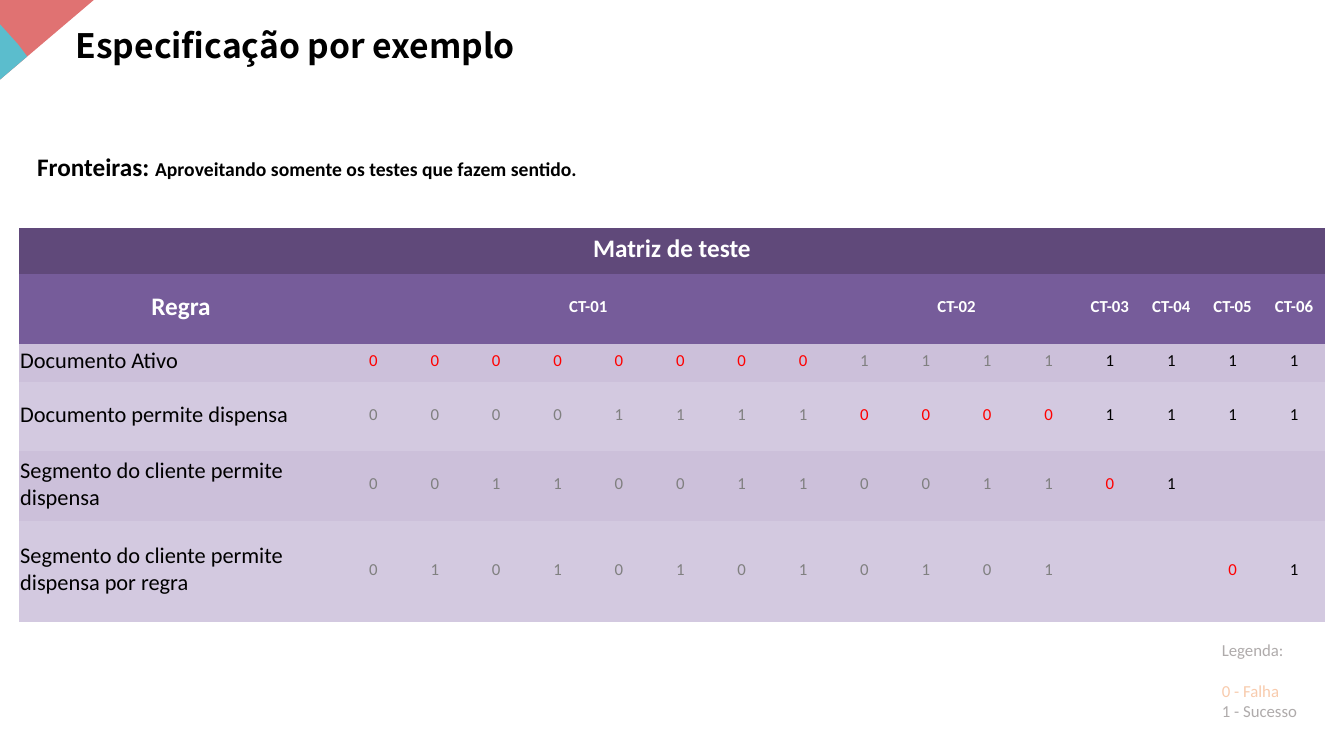
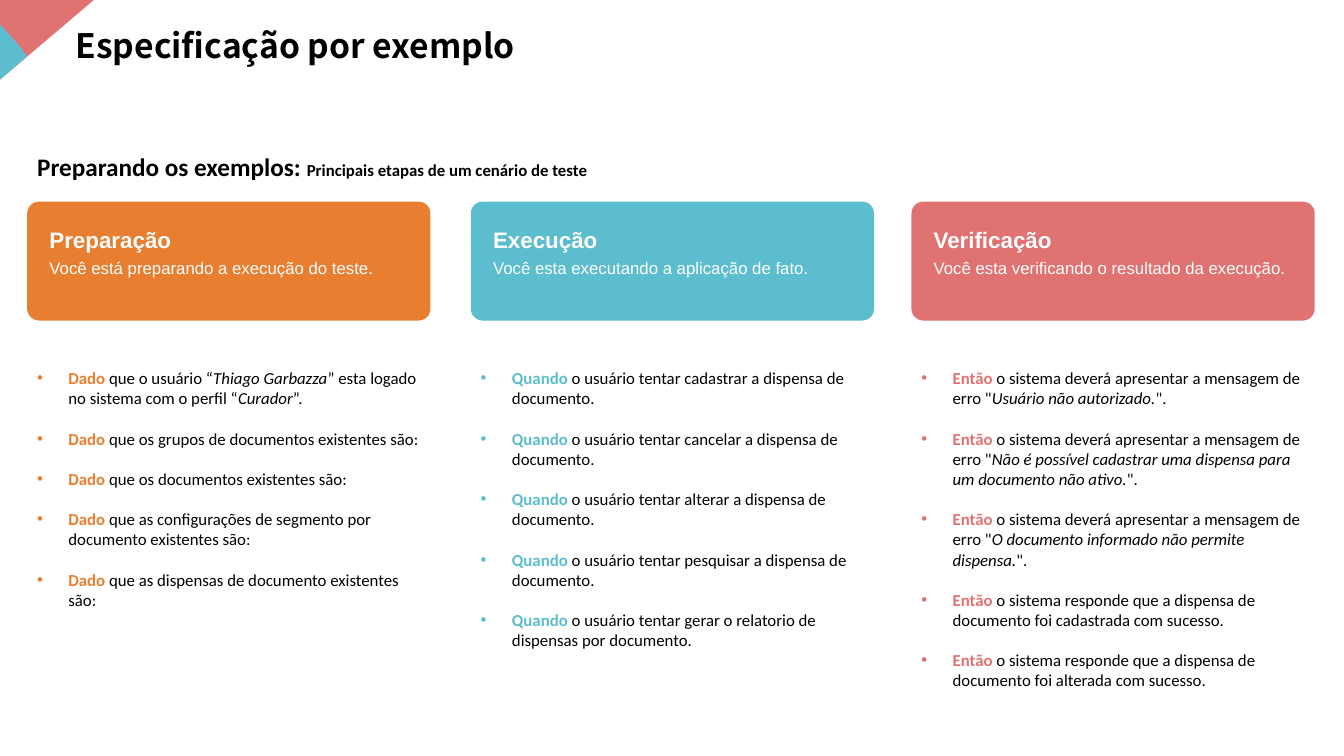
from dataclasses import dataclass

from lxml import etree
from pptx import Presentation
from pptx.dml.color import RGBColor
from pptx.enum.shapes import MSO_SHAPE
from pptx.enum.text import MSO_ANCHOR, PP_ALIGN
from pptx.oxml.ns import qn
from pptx.util import Inches, Pt

TRIANGLE, CARD = MSO_SHAPE.RIGHT_TRIANGLE, MSO_SHAPE.ROUNDED_RECTANGLE
TOP, MIDDLE = MSO_ANCHOR.TOP, MSO_ANCHOR.MIDDLE
LEFT, CENTER = PP_ALIGN.LEFT, PP_ALIGN.CENTER


@dataclass(frozen=True)
class Theme:
    black: str = "000000"
    white: str = "FFFFFF"
    orange: str = "E87E30"
    teal: str = "5BBDCD"
    coral: str = "E07272"
    fail: str = "FF0000"
    muted: str = "808080"
    banner: str = "60497A"
    header: str = "765C9A"
    bands: tuple = ("CCC0DA", "D3C9E0")
    legend: str = "AFABAB"
    legend_fail: str = "F8CBAD"
    title_font: str = "Noto Sans CJK SC"
    body_font: str = "Calibri"
    card_font: str = "Arial"
    title: int = 24
    lead: int = 18
    large: int = 16
    medium: int = 14
    small: int = 12
    blank_line: float = 14.4


T = Theme()

# Content
TITLE = "Especificação por exemplo"
BOUNDARIES = ("Fronteiras: ", "Aproveitando somente os testes que fazem sentido.")
STAGES_LEAD = ("Preparando os exemplos: ", "Principais etapas de um cenário de teste")

MATRIX_TITLE, RULE_HEADER = "Matriz de teste", "Regra"
# Test case, number of columns, index of the rule that fails
TEST_CASES = [("CT-01", 8, 0), ("CT-02", 4, 1), ("CT-03", 1, 2),
              ("CT-04", 1, None), ("CT-05", 1, 3), ("CT-06", 1, None)]
RULES = [
    ("Documento Ativo", "0000000011111111"),
    ("Documento permite dispensa", "0000111100001111"),
    ("Segmento do cliente permite dispensa", "001100110011" "01  "),
    ("Segmento do cliente permite dispensa por regra", "010101010101" "  01"),
]
LEGEND_HEAD, LEGEND_FAIL, LEGEND_PASS = "Legenda:", "0 - Falha", "1 - Sucesso"

# Asterisks enclose italics
STAGES = [
    ("Preparação", "Você está preparando a execução do teste.", T.orange, "Dado ", [
        "que o usuário “*Thiago Garbazza*” esta logado no sistema com o perfil “*Curador*”.",
        "que os grupos de documentos existentes são:",
        "que os documentos existentes são:",
        "que as configurações de segmento por documento existentes são:",
        "que as dispensas de documento existentes são:"]),
    ("Execução", "Você esta executando a aplicação de fato.", T.teal, "Quando ", [
        "o usuário tentar cadastrar a dispensa de documento.",
        "o usuário tentar cancelar a dispensa de documento.",
        "o usuário tentar alterar a dispensa de documento.",
        "o usuário tentar pesquisar a dispensa de documento.",
        "o usuário tentar gerar o relatorio de dispensas por documento."]),
    ("Verificação", "Você esta verificando o resultado da execução.", T.coral, "Então ", [
        'o sistema deverá apresentar a mensagem de erro "*Usuário não autorizado.*".',
        'o sistema deverá apresentar a mensagem de erro "*Não é possível cadastrar '
        'uma dispensa para um documento não ativo.*".',
        'o sistema deverá apresentar a mensagem de erro "*O documento informado '
        'não permite dispensa.*".',
        "o sistema responde que a dispensa de documento foi cadastrada com sucesso.",
        "o sistema responde que a dispensa de documento foi alterada com sucesso."]),
]

# Grid
SLIDE_W, SLIDE_H = 13.33, 7.5
MARGIN = 0.27
LEAD_TOP = 1.45
MATRIX_LEFT, MATRIX_TOP, MATRIX_W = 0.19, 2.26, 12.95
RULE_COL = 3.21
MATRIX_ROWS = [0.46, 0.69, 0.38, 0.69, 0.69, 1]
CARD_W, CARD_H, CARD_TOP = 4, 1.18, 2
CARD_LEFTS = [MARGIN, 4.67, 9.04]
STEPS_TOP = 3.6

prs = Presentation()
prs.slide_width, prs.slide_height = Inches(SLIDE_W), Inches(SLIDE_H)
TITLE_ONLY = prs.slide_layouts[5]


def rgb(value):
    return RGBColor.from_string(value)


def write(holder, paragraphs, size=T.small, color=T.black, font=T.body_font, bold=False,
          align=LEFT, anchor=TOP, gap=0, bullet=None):
    """Fill a text frame with paragraphs, each a list of (text, overrides) runs."""
    frame = holder.text_frame
    frame.word_wrap = True
    frame.vertical_anchor = anchor
    for index, runs in enumerate(paragraphs):
        paragraph = frame.add_paragraph() if index else frame.paragraphs[0]
        paragraph.alignment = align
        if gap and index:
            paragraph.space_before = Pt(gap)
        if bullet:
            add_bullet(paragraph, bullet)
        for text, overrides in runs:
            look = dict(size=size, color=color, bold=bold, italic=False) | overrides
            run = paragraph.add_run()
            run.text = text
            run.font.name = font
            run.font.size = Pt(look["size"])
            run.font.bold, run.font.italic = look["bold"], look["italic"]
            run.font.color.rgb = rgb(look["color"])


def add_bullet(paragraph, color):
    props = paragraph._p.get_or_add_pPr()
    indent = Inches(0.31)
    props.set("marL", str(indent))
    props.set("indent", str(-indent))
    tint = etree.SubElement(props, qn("a:buClr"))
    etree.SubElement(tint, qn("a:srgbClr"), val=color)
    etree.SubElement(props, qn("a:buFont"), typeface="Arial")
    etree.SubElement(props, qn("a:buChar"), char="•")


def text_box(slide, box, paragraphs, inset=True, **look):
    holder = slide.shapes.add_textbox(*map(Inches, box))
    if not inset:
        set_margins(holder.text_frame, 0, 0, 0, 0)
    write(holder, paragraphs, **look)


def set_margins(target, left, top, right, bottom):
    target.margin_left, target.margin_top = Inches(left), Inches(top)
    target.margin_right, target.margin_bottom = Inches(right), Inches(bottom)


def paint(shape, color):
    shape.shadow.inherit = False
    shape.fill.solid()
    shape.fill.fore_color.rgb = rgb(color)
    shape.line.fill.background()


def new_slide(lead, detail_size):
    """Corner ornament, title and lead line shared by the slides."""
    slide = prs.slides.add_slide(TITLE_ONLY)
    corner = slide.shapes.add_shape(TRIANGLE, *map(Inches, (0.07, -0.07, 0.79, 0.93)))
    corner.rotation = 90
    paint(corner, T.coral)
    start, *outline = [(Inches(x), Inches(y)) for x, y in
                       [(0, 0.24), (0.09, 0.34), (0.18, 0.44), (0.27, 0.56), (0, 0.79)]]
    wedge = slide.shapes.build_freeform(*start)
    wedge.add_line_segments(outline)
    paint(wedge.convert_to_shape(), T.teal)

    title = slide.shapes.title
    title.left, title.top, title.width, title.height = map(Inches, (0.65, 0.2, 4.97, 0.5))
    write(title, [[(TITLE, {})]], size=T.title, font=T.title_font, bold=True)
    text_box(slide, (MARGIN, LEAD_TOP, SLIDE_W - 2 * MARGIN, 0.4),
             [[(lead[0], {}), (lead[1], {"size": detail_size})]], size=T.lead, bold=True)
    return slide


def fill_cell(cell, text, fill, **look):
    cell.fill.solid()
    cell.fill.fore_color.rgb = rgb(fill)
    set_margins(cell, 0.01, 0.01, 0.01, 0.05)
    cell.vertical_anchor = MIDDLE
    if text.strip():
        write(cell, [[(text, {})]], anchor=MIDDLE, **look)


def add_matrix(slide):
    case_count = sum(span for _, span, _ in TEST_CASES)
    case_col = (MATRIX_W - RULE_COL) / case_count
    frame = slide.shapes.add_table(
        len(MATRIX_ROWS), case_count + 1, Inches(MATRIX_LEFT), Inches(MATRIX_TOP),
        Inches(MATRIX_W), Inches(sum(MATRIX_ROWS)))
    # The plain style has neither borders nor bands
    frame._element.xpath(".//a:tableStyleId")[0].text = "{2D5ABB26-0587-4C30-8999-92F81FD0307C}"
    matrix = frame.table
    matrix.first_row = matrix.horz_banding = False
    for index, column in enumerate(matrix.columns):
        column.width = Inches(case_col if index else RULE_COL)
    for row, height in zip(matrix.rows, MATRIX_ROWS):
        row.height = Inches(height)

    # Header rows
    heading = dict(color=T.white, bold=True, align=CENTER)
    matrix.cell(0, 0).merge(matrix.cell(0, case_count))
    fill_cell(matrix.cell(0, 0), MATRIX_TITLE, T.banner, size=T.lead, **heading)
    fill_cell(matrix.cell(1, 0), RULE_HEADER, T.header, size=T.lead, **heading)
    case_of_column = []
    for case in TEST_CASES:
        name, span, _ = case
        first = len(case_of_column) + 1
        if span > 1:
            matrix.cell(1, first).merge(matrix.cell(1, first + span - 1))
        fill_cell(matrix.cell(1, first), name, T.header, **heading)
        case_of_column += [case] * span

    # Rules and their outcomes
    for index, (rule, outcomes) in enumerate(RULES):
        band = T.bands[index % 2]
        fill_cell(matrix.cell(index + 2, 0), rule, band, size=T.large)
        columns = enumerate(zip(outcomes, case_of_column), start=1)
        for column, (outcome, (_, span, failing_rule)) in columns:
            color = T.muted if span > 1 else T.black
            if index == failing_rule:
                color = T.fail
            fill_cell(matrix.cell(index + 2, column), outcome, band, color=color, align=CENTER)


def add_stage(slide, left, stage):
    name, summary, color, keyword, steps = stage
    card = slide.shapes.add_shape(CARD, *map(Inches, (left, CARD_TOP, CARD_W, CARD_H)))
    card.adjustments[0] = 0.1
    paint(card, color)
    text_left, text_width = left + 0.22, CARD_W - 0.22
    card_look = dict(inset=False, color=T.white, font=T.card_font)
    text_box(slide, (text_left, CARD_TOP + 0.24, text_width, 0.27), [[(name, {})]],
             size=T.large, bold=True, **card_look)
    text_box(slide, (text_left, CARD_TOP + 0.56, text_width, 0.2), [[(summary, {})]], **card_look)

    paragraphs = []
    for step in steps:
        pieces = [(piece, {"italic": index % 2 == 1})
                  for index, piece in enumerate(step.split("*"))]
        paragraphs.append([(keyword, {"color": color, "bold": True}), *pieces])
    text_box(slide, (left, STEPS_TOP, CARD_W, SLIDE_H - STEPS_TOP - 0.37), paragraphs,
             gap=T.blank_line, bullet=color)


# Slide 1: test matrix
matrix_slide = new_slide(BOUNDARIES, T.medium)
add_matrix(matrix_slide)
legend_left, legend_top, legend_width = 12.02, 6.3, 1.13
text_box(matrix_slide, (legend_left, legend_top, legend_width, 0.3),
         [[(LEGEND_HEAD, {})]], color=T.legend)
text_box(matrix_slide, (legend_left, legend_top + 0.4, legend_width, 0.5),
         [[(LEGEND_FAIL, {"color": T.legend_fail})], [(LEGEND_PASS, {})]], color=T.legend)

# Slide 2: stages of a test scenario
stages_slide = new_slide(STAGES_LEAD, T.small)
for left, stage in zip(CARD_LEFTS, STAGES):
    add_stage(stages_slide, left, stage)

prs.save("out.pptx")
